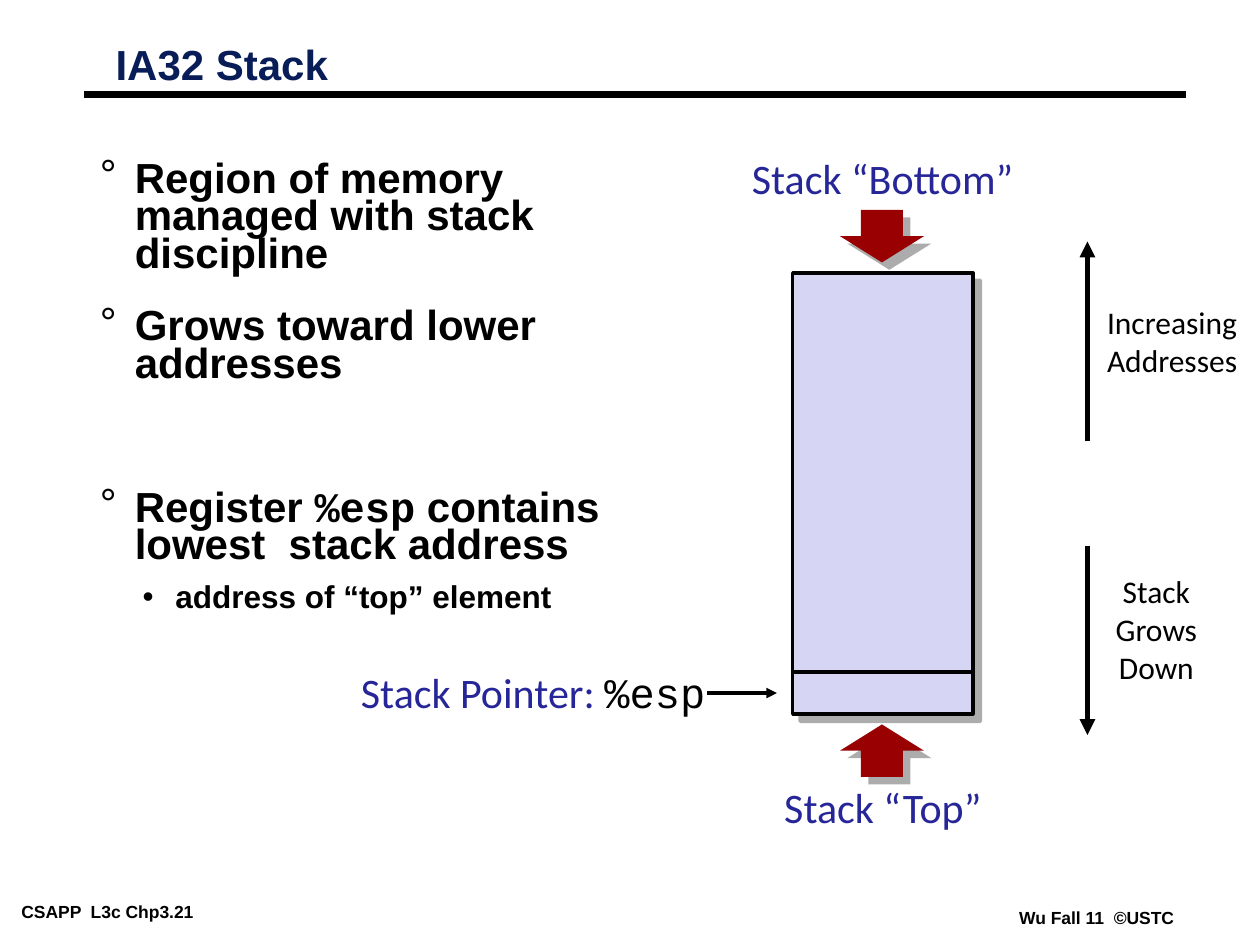
from lxml.etree import SubElement
from pptx import Presentation
from pptx.dml.color import RGBColor as RGB
from pptx.enum.shapes import MSO_CONNECTOR as CONN, MSO_SHAPE as SHAPE
from pptx.enum.text import MSO_ANCHOR as ANCHOR, PP_ALIGN as ALIGN
from pptx.oxml import parse_xml
from pptx.oxml.ns import nsdecls, qn
from pptx.util import Pt

C = {"black": "000000", "white": "FFFFFF", "navy": "081D58", "label": "262699",
     "stack": "D6D6F4", "red": "980002", "shadow": "919191"}
SHADOW = (f'<a:effectLst {nsdecls("a")}><a:outerShdw dist="76200" dir="2700000" algn="ctr" rotWithShape="0">'
          f'<a:srgbClr val="{C["shadow"]}"><a:alpha val="75000"/></a:srgbClr></a:outerShdw></a:effectLst>')

prs = Presentation()
prs.slide_width, prs.slide_height = Pt(720), Pt(540)
s = prs.slides.add_slide(prs.slide_layouts[6])


def add_text(box, paragraphs, size=24, font="Arial", color="black", bold=False, align=ALIGN.LEFT,
             wrap=False, anchor=ANCHOR.TOP, inset=(3, 3), spacing=None, fill=None):
    sp = s.shapes.add_textbox(*map(Pt, box))
    if fill:
        sp.fill.solid()
        sp.fill.fore_color.rgb = RGB.from_string(C[fill])
    tf = sp.text_frame
    tf.word_wrap, tf.vertical_anchor = wrap, anchor
    tf.margin_left = tf.margin_right = Pt(inset[0])
    tf.margin_top = tf.margin_bottom = Pt(inset[1])
    for i, runs in enumerate(paragraphs):
        p = tf.paragraphs[0] if i == 0 else tf.add_paragraph()
        p.alignment = align
        if spacing:
            p.line_spacing = spacing
        for text, *style in runs:
            if text == "\n":
                p.add_line_break()
                continue
            r = p.add_run()
            r.text = text
            face, ink = style or (font, color)
            r.font.name, r.font.size, r.font.bold = face, Pt(size), bold
            r.font.color.rgb = RGB.from_string(C[ink])
    return tf


def add_line(x1, y1, x2, y2, width, arrow=False):
    ln = s.shapes.add_connector(CONN.STRAIGHT, Pt(x1), Pt(y1), Pt(x2), Pt(y2))
    ln.line.color.rgb = RGB.from_string(C["black"])
    ln.line.width = Pt(width)
    spPr = ln._element.spPr
    if arrow:
        SubElement(spPr.find(qn("a:ln")), qn("a:tailEnd"), type="triangle")
    SubElement(spPr, qn("a:effectLst"))


for box, text in [((7.2, 513, 145.4, 16), "CSAPP  L3c Chp3.21"),
                  ((577.4, 516.3, 99.4, 16), "Wu Fall 11  ©USTC")]:
    add_text(box, [[(text,)]], size=10, bold=True, inset=(5, 2))
add_line(48, 54, 678, 54, 4.5)
add_text((63, 23, 251, 31), [[("IA32 Stack",)]], color="navy", bold=True,
         wrap=True, anchor=ANCHOR.MIDDLE, spacing=0.87)

body = add_text((54, 90, 328, 270), [
    [("Region of memory managed with stack discipline",)],
    [("Grows toward lower addresses",)],
    [("Register ",), ("%esp", "Courier New", "black"), (" contains ",), ("\n",), ("lowest  stack address",)],
    [("address of “top” element",)],
], bold=True, wrap=True, spacing=0.75)
bullets = [("°", 20, 20, 0), ("°", 20, 20, 19.5), ("°", 20, 20, 60.5), ("•", 43.2, 18.7, 9)]
for p, (char, left, hang, before) in zip(body.paragraphs, bullets):
    pPr = p._p.get_or_add_pPr()
    pPr.set("marL", str(Pt(left)))
    pPr.set("indent", str(-Pt(hang)))
    p.space_before = Pt(before)
    SubElement(SubElement(pPr, qn("a:buClr")), qn("a:srgbClr"), val=C["black"])
    SubElement(pPr, qn("a:buFont"), typeface="Arial")
    SubElement(pPr, qn("a:buChar"), char=char)
detail = body.paragraphs[-1]
detail.level, detail.line_spacing = 1, 0.85
detail.runs[0].font.size = Pt(18)

add_line(404, 396, 444, 396, 2, arrow=True)
add_text((189.4, 378, 216.6, 34.8), [[("Stack Pointer: ",), ("%esp", "Courier New", "black")]],
         font="Calibri", color="label", align=ALIGN.RIGHT)

stack = s.shapes.add_shape(SHAPE.RECTANGLE, Pt(453), Pt(156), Pt(103), Pt(252))
stack.fill.solid()
stack.fill.fore_color.rgb = RGB.from_string(C["stack"])
stack.line.color.rgb = RGB.from_string(C["black"])
stack.line.width = Pt(2)
stack._element.spPr.append(parse_xml(SHADOW))

add_line(621.4, 312, 621.4, 420, 3, arrow=True)
add_text((628.8, 324, 64, 72), [[("Stack Grows",)], [("Down",)]], size=18, font="Calibri",
         align=ALIGN.CENTER, wrap=True, fill="white")
add_line(621.4, 252, 621.4, 138, 3, arrow=True)
add_text((629.3, 170, 81, 49), [[("Increasing",)], [("Addresses",)]], size=18, font="Calibri",
         align=ALIGN.CENTER, fill="white")
add_line(453, 384, 555, 384, 2)
for box, text in [((438.5, 443.5, 132, 34.8), "Stack “Top”"), ((417.6, 84, 173.5, 34.8), "Stack “Bottom”")]:
    add_text(box, [[(text,)]], font="Calibri", color="label", align=ALIGN.CENTER)

for tip, side in [(150, -1), (414, 1)]:
    neck, end = tip + 15 * side, tip + 30 * side
    outline = [(492, neck), (492, end), (516, end), (516, neck), (528, neck), (504, tip)]
    fb = s.shapes.build_freeform(Pt(480), Pt(neck))
    fb.add_line_segments([(Pt(x), Pt(y)) for x, y in outline])
    arrow = fb.convert_to_shape()
    arrow.fill.solid()
    arrow.fill.fore_color.rgb = RGB.from_string(C["red"])
    arrow.line.fill.background()
    arrow._element.spPr.append(parse_xml(SHADOW))

prs.save("out.pptx")
